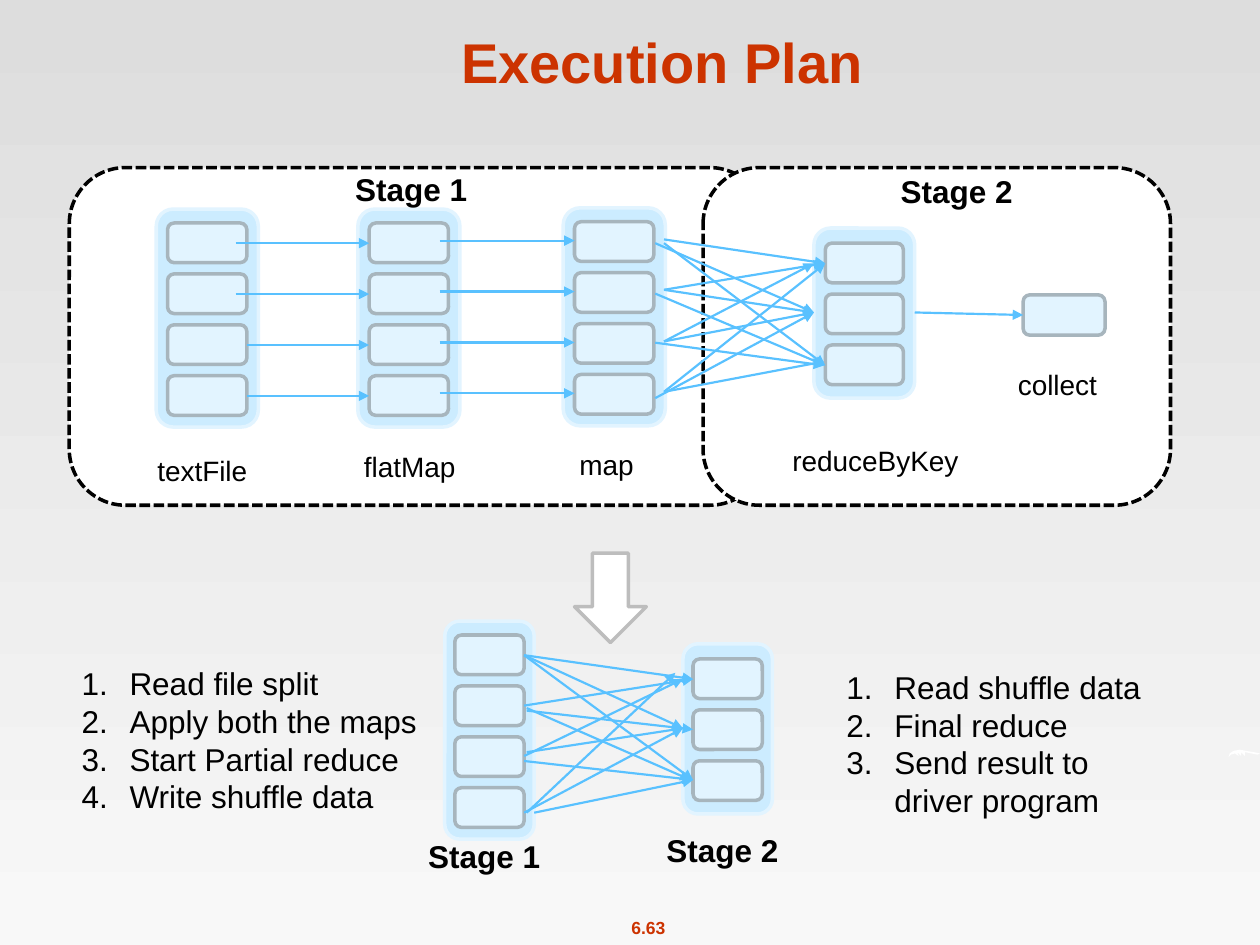
from lxml import etree
from pptx import Presentation
from pptx import util as u
from pptx.dml.color import RGBColor
from pptx.enum import dml, shapes, text
from pptx.oxml.ns import qn

COLOURS = {
    "sky": "DDDDDD", "ground": "F8F8F8", "title": "CC3300", "ink": "000000",
    "white": "FFFFFF", "dataset": "CCECFF", "partition": "E2F4FF",
    "edge": "A7B5BD", "arrow": "59C1FF", "grey": "BDBDBD",
}
COLOURS = {key: RGBColor.from_string(value) for key, value in COLOURS.items()}
CELL = u.Inches(0.1)  # the slide is a grid of 100 columns by 75 rows
PITCH = 4.04          # rows from one partition to the next

deck = Presentation()
deck.slide_width, deck.slide_height = 100 * CELL, 75 * CELL
slide = deck.slides.add_slide(deck.slide_layouts[6])


def add_text(words, left, top, width, height, size=16, bold=False, colour="ink",
             align=text.PP_ALIGN.LEFT, anchor=text.MSO_ANCHOR.TOP, wrap=True,
             numbered=False):
    box = slide.shapes.add_textbox(
        *(round(v * CELL) for v in (left, top, width, height)))
    frame = box.text_frame
    frame.word_wrap, frame.vertical_anchor = wrap, anchor
    frame.text = words
    for paragraph in frame.paragraphs:
        paragraph.alignment = align
        font = paragraph.runs[0].font
        font.name, font.size, font.bold = "Arial", u.Pt(size), bold
        font.color.rgb = COLOURS[colour]
        if numbered:
            properties = paragraph._p.get_or_add_pPr()
            properties.set("marL", str(u.Inches(0.38)))
            properties.set("indent", str(-u.Inches(0.38)))
            etree.SubElement(properties, qn("a:buAutoNum"), type="arabicPeriod")


def add_block(left, top, width, height, fill, line,
              preset=shapes.MSO_SHAPE.ROUNDED_RECTANGLE):
    block = slide.shapes.add_shape(
        preset, *(round(v * CELL) for v in (left, top, width, height)))
    block.shadow.inherit = False
    block.fill.solid()
    block.fill.fore_color.rgb = COLOURS[fill]
    block.line.color.rgb = COLOURS[line]
    block.line.width = u.Pt(2)
    return block


# Background, with the white crescent at the right edge
backdrop = slide.background.fill
backdrop.gradient()
backdrop.gradient_angle = 270
for stop, shade, position in zip(backdrop.gradient_stops, ("sky", "ground"), (0, 1)):
    stop.color.rgb, stop.position = COLOURS[shade], position

outline = slide.shapes.build_freeform(975, 601, scale=CELL / 10)
outline.add_line_segments([
    (976, 598), (979, 596), (984, 595), (989, 596), (995, 597), (1000, 598),
    (998, 599), (993, 598), (988, 597), (988, 600), (985, 597), (985, 600),
    (982, 597), (983, 600), (980, 598), (977, 599)])
crescent = outline.convert_to_shape()
crescent.shadow.inherit = False
crescent.fill.solid()
crescent.fill.fore_color.rgb = COLOURS["white"]
crescent.line.fill.background()

add_text("6.63", 49, 72.3, 4.9, 2.7, size=10, bold=True, colour="title",
         align=text.PP_ALIGN.CENTER, wrap=False)
add_text("Execution Plan", 8.4, 1.3, 88.3, 6.7, size=32, bold=True, colour="title",
         align=text.PP_ALIGN.CENTER, anchor=text.MSO_ANCHOR.BOTTOM)

# Stage frames
for left, width in ((5.5, 55.3), (55.8, 37.1)):
    stage = add_block(left, 13.3, width, 26.8, "white", "ink")
    stage.line.dash_style = dml.MSO_LINE.SQUARE_DOT

# Datasets: left, top, width, height, partitions, side margin, top margin
for left, top, width, height, count, side, head in (
        (12.4, 16.6, 8.1, 17.3, 4, 0.9, 1.1),   # textFile
        (28.4, 16.6, 8.1, 17.3, 4, 0.9, 1.1),   # flatMap
        (44.7, 16.5, 8.1, 17.3, 4, 0.9, 1.1),   # map
        (64.6, 18.1, 8, 13.5, 3, 0.9, 1.2),     # reduceByKey
        (35.3, 49.3, 7.1, 17.3, 4, 0.8, 1.1),   # merged stage 1
        (54.2, 51.1, 7.1, 13.5, 3, 0.8, 1.2)):  # merged stage 2
    add_block(left, top, width, height, "dataset", "partition")
    for row in range(count):
        add_block(left + side, top + head + row * PITCH, width - 2 * side, 3.15,
                  "partition", "edge")
add_block(81.2, 23.4, 6.5, 3.2, "partition", "edge")  # collect
add_block(45.6, 43.9, 5.7, 7.1, "white", "grey", shapes.MSO_SHAPE.DOWN_ARROW)

# Data flow: x and y of the start, x and y of the end
flows = [(72.6, 24.8, 81.2, 25)]
for row, start in enumerate((18.7, 18.7, 19.6, 19.6)):
    flows += [(start, 19.3 + row * PITCH, 29.3, 19.3 + row * PITCH),
              (34.9, 19.1 + row * PITCH, 45.6, 19.1 + row * PITCH)]
flows += [  # shuffle from map to reduceByKey
    (52.7, 19, 65.5, 20.9), (52, 19.3, 64.6, 24.8), (52.7, 19.3, 65.5, 29),
    (52.7, 23, 65.4, 20.9), (52.7, 23, 64.6, 24.8), (52, 23.3, 65.5, 29),
    (52.7, 27.1, 64.6, 20.9), (52.7, 27.1, 64.6, 24.8), (52, 27.2, 65.4, 29),
    (52.7, 31.1, 65.5, 20.9), (52, 31.6, 64.6, 24.8), (52.7, 31.1, 65.4, 28.7)]
flows += [  # shuffle between the merged stages
    (41.6, 52, 55, 53.9), (41.6, 52, 54.2, 57.8), (41.6, 52, 55, 61.9),
    (41.6, 56, 55, 53.9), (41.8, 56.4, 55, 57.9), (41.8, 56.2, 54.8, 61.9),
    (41.6, 60, 54.2, 53.9), (41.8, 59.7, 54.2, 57.8), (41.6, 60.4, 55, 61.9),
    (41.8, 64.5, 53.6, 53.4), (41.6, 64.5, 54.2, 57.8), (42.4, 64.5, 55, 61.9)]
for flow in flows:
    arrow = slide.shapes.add_connector(
        shapes.MSO_CONNECTOR.STRAIGHT, *(round(v * CELL) for v in flow))
    arrow.line.color.rgb = COLOURS["arrow"]
    arrow.line.width = u.Pt(1.25)
    etree.SubElement(arrow.line._get_or_add_ln(), qn("a:tailEnd"), type="triangle")
    etree.SubElement(arrow._element.spPr, qn("a:effectLst"))

# Labels
for operation, left, top, width in (
        ("textFile", 11.5, 35.5, 10.1), ("flatMap", 27.9, 35.2, 10.4),
        ("map", 45, 35, 7.5), ("reduceByKey", 61.9, 34.7, 17.2),
        ("collect", 79.8, 28.7, 9.6)):
    add_text(operation, left, top, width, 3.7)
for stage_name, left, top in (
        ("Stage 1", 27.2, 13), ("Stage 2", 70.5, 13.2),
        ("Stage 1", 33, 65.9), ("Stage 2", 51.9, 65.5)):
    add_text(stage_name, left, top, 11.8, 4, size=18, bold=True)

add_text("Read file split\nApply both the maps\nStart Partial reduce\nWrite shuffle data",
         5.5, 52.2, 28.6, 13.1, size=18, numbered=True)
add_text("Read shuffle data\nFinal reduce\nSend result to driver program",
         66.2, 52.5, 26.7, 13.1, size=18, numbered=True)

deck.save("out.pptx")
